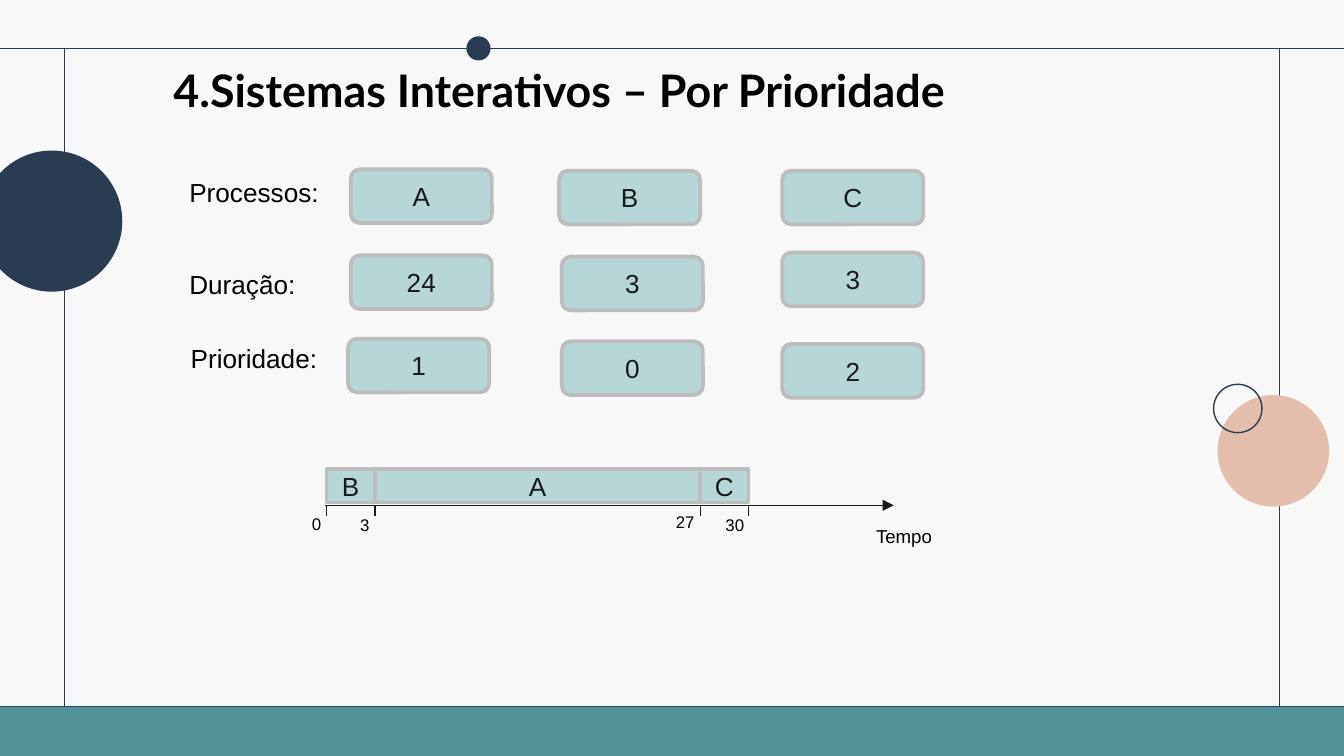
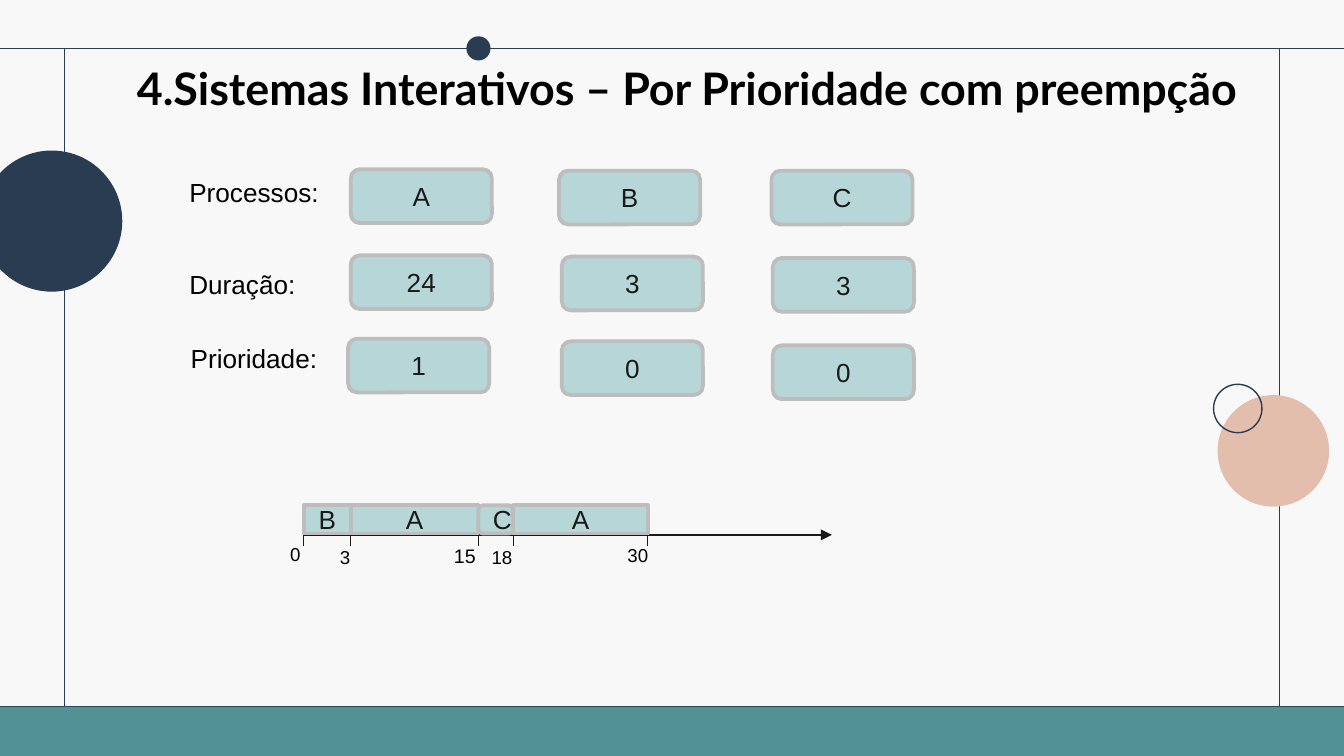
from dataclasses import dataclass
from itertools import pairwise

from lxml.etree import SubElement
from pptx import Presentation
from pptx.dml.color import RGBColor
from pptx.enum.shapes import MSO_CONNECTOR, MSO_SHAPE
from pptx.enum.text import MSO_ANCHOR, MSO_AUTO_SIZE, PP_ALIGN
from pptx.oxml.ns import qn
from pptx.util import Pt

PX = 9144  # 100 px to the inch


@dataclass(frozen=True)
class Theme:
    background: RGBColor = RGBColor.from_string("F8F8F8")
    navy: RGBColor = RGBColor.from_string("293C51")
    teal: RGBColor = RGBColor.from_string("539294")
    peach: RGBColor = RGBColor.from_string("E4BEAC")
    block: RGBColor = RGBColor.from_string("B7D6D7")
    border: RGBColor = RGBColor.from_string("BDBDBD")
    ink: RGBColor = RGBColor.from_string("191919")
    black: RGBColor = RGBColor.from_string("000000")
    title_font: str = "Lato"
    body_font: str = "Arial"
    title_size: float = 24
    body_size: float = 14
    axis_size: float = 10
    fifteen_size: float = 10.5
    tick_size: float = 9
    thin: float = 0.75
    thick: float = 2


theme = Theme()
RECTANGLE, ROUNDED = MSO_SHAPE.RECTANGLE, MSO_SHAPE.ROUNDED_RECTANGLE
TOP, MIDDLE = MSO_ANCHOR.TOP, MSO_ANCHOR.MIDDLE


def add_block(shapes, kind, box, fill=None, border=None, width=theme.thin, text=""):
    shape = shapes.add_shape(kind, *(value * PX for value in box))
    shape.shadow.inherit = False
    if fill is None:
        shape.fill.background()
    else:
        shape.fill.solid()
        shape.fill.fore_color.rgb = fill
    if border is None:
        shape.line.fill.background()
    else:
        shape.line.color.rgb = border
        shape.line.width = Pt(width)
    if text:
        frame = shape.text_frame
        frame.text = text
        frame.word_wrap = True
        frame.vertical_anchor = MIDDLE
        paragraph = frame.paragraphs[0]
        paragraph.alignment = PP_ALIGN.CENTER
        paragraph.font.name = theme.body_font
        paragraph.font.size = Pt(theme.body_size)
        paragraph.font.color.rgb = theme.ink


def add_line(shapes, ends, color, arrow=False):
    connector = shapes.add_connector(MSO_CONNECTOR.STRAIGHT, *(value * PX for value in ends))
    connector.line.color.rgb = color
    connector.line.width = Pt(theme.thin)
    properties = connector.element.spPr
    if arrow:
        SubElement(properties.find(qn("a:ln")), qn("a:tailEnd"), type="triangle")
    SubElement(properties, qn("a:effectLst"))


# Each label: text, (left, top, width, height), size, anchor, side inset
row_labels = [
    ("Processos:", (131, 126, 119, 34), theme.body_size, TOP, 10),
    ("Duração:", (131, 195, 119, 34), theme.body_size, TOP, 10),
    ("Prioridade:", (132, 250, 119, 34), theme.body_size, TOP, 10),
]
# Each cell: text, left, top
shared_cells = [
    ("A", 261, 126), ("B", 416, 127),
    ("24", 261, 190), ("3", 418, 191),
    ("1", 259, 252), ("0", 418, 254),
]
deck = [
    {
        "title": "4.Sistemas\u00a0Interativos – Por\u00a0Prioridade",
        "title_box": (109, 42, 614, 50),
        "cells": [("C", 582, 127), ("3", 582, 188), ("2", 582, 256)],
        "axis": (242, 376, 665, 376),
        "bar": (349, 25),
        "edges": [243, 279, 521, 557],
        "segments": [("B", RECTANGLE), ("A", RECTANGLE), ("C", RECTANGLE)],
        "labels": [
            ("Tempo", (642, 386, 63, 27), theme.axis_size, TOP, 10),
            ("0", (232, 377, 10, 25), theme.tick_size, MIDDLE, 0),
            ("3", (268, 378, 10, 25), theme.tick_size, MIDDLE, 0),
            ("27", (493, 376, 36, 25), theme.tick_size, MIDDLE, 10),
            ("30", (530, 378, 36, 25), theme.tick_size, MIDDLE, 10),
        ],
    },
    {
        "title": "4.Sistemas\u00a0Interativos – Por\u00a0Prioridade com preempção",
        "title_box": (90, 40, 842, 50),
        "cells": [("C", 574, 127), ("3", 575, 192), ("0", 575, 257)],
        "axis": (226, 398, 619, 398),
        "bar": (376, 21),
        "edges": [226, 261, 356, 382, 482],
        "segments": [("B", RECTANGLE), ("A", RECTANGLE), ("C", ROUNDED), ("A", RECTANGLE)],
        "labels": [
            ("0", (206, 399, 21, 27), theme.axis_size, TOP, 10),
            ("3", (243, 401, 27, 27), theme.axis_size, TOP, 10),
            ("15", (328, 400, 47, 28), theme.fifteen_size, TOP, 10),
            ("18", (356, 401, 67, 27), theme.axis_size, TOP, 10),
            ("30", (457, 400, 42, 27), theme.axis_size, TOP, 10),
        ],
    },
]

presentation = Presentation()
presentation.slide_width = 1000 * PX
presentation.slide_height = 1000 * PX * 9 // 16

# Title-only layout: background and a title placeholder
layout = presentation.slide_layouts[5]
layout.background.fill.solid()
layout.background.fill.fore_color.rgb = theme.background
layout_title, *footers = layout.placeholders
for placeholder in footers:
    placeholder.element.getparent().remove(placeholder.element)
slides = [presentation.slides.add_slide(layout) for _ in deck]

# Frame and circles, drawn once and moved into the layout
canvas = slides[0].shapes
for ends in [(-1, 36, 1001, 36), (48, 36, 48, 526), (952, 36, 952, 526)]:
    add_line(canvas, ends, theme.navy)
add_block(canvas, MSO_SHAPE.OVAL, (347, 27, 18, 18), theme.navy)
add_line(canvas, (-1, 526, 1001, 526), theme.navy)
add_block(canvas, RECTANGLE, (-1, 526, 1002, 37), theme.teal)
circles = canvas.add_group_shape()
add_block(circles.shapes, MSO_SHAPE.OVAL, (906, 294, 83, 83), theme.peach)
add_block(circles.shapes, MSO_SHAPE.OVAL, (903, 286, 36, 36), border=theme.navy)
add_block(canvas, MSO_SHAPE.OVAL, (-14, 112, 105, 105), theme.navy)
for shape in list(canvas):
    if not shape.is_placeholder:
        layout_title.element.addprevious(shape.element)

for slide, content in zip(slides, deck):
    shapes = slide.shapes
    title = shapes.title
    title.left, title.top, title.width, title.height = (
        value * PX for value in content["title_box"])
    frame = title.text_frame
    frame.text = content["title"]
    frame.word_wrap = True
    frame.auto_size = MSO_AUTO_SIZE.NONE
    frame.vertical_anchor = TOP
    paragraph = frame.paragraphs[0]
    paragraph.alignment = PP_ALIGN.CENTER
    paragraph.font.name = theme.title_font
    paragraph.font.size = Pt(theme.title_size)
    paragraph.font.bold = True
    paragraph.font.color.rgb = theme.black

    for text, left, top in shared_cells + content["cells"]:
        add_block(shapes, ROUNDED, (left, top, 105, 40),
                  theme.block, theme.border, theme.thick, text)

    # Timeline: axis, a tick at every edge, a block between neighbouring edges
    add_line(shapes, content["axis"], theme.ink, arrow=True)
    axis_top = content["axis"][1]
    for edge in content["edges"]:
        add_line(shapes, (edge, axis_top, edge, axis_top + 8), theme.ink)
    bar_top, bar_height = content["bar"]
    for (text, kind), (start, end) in zip(content["segments"], pairwise(content["edges"])):
        add_block(shapes, kind, (start, bar_top, end - start, bar_height),
                  theme.block, theme.border, theme.thick, text)

    for text, box, size, anchor, inset in row_labels + content["labels"]:
        label = shapes.add_textbox(*(value * PX for value in box))
        frame = label.text_frame
        frame.text = text
        frame.word_wrap = True
        frame.auto_size = MSO_AUTO_SIZE.SHAPE_TO_FIT_TEXT
        frame.vertical_anchor = anchor
        frame.margin_left = frame.margin_right = inset * PX
        paragraph = frame.paragraphs[0]
        paragraph.font.name = theme.body_font
        paragraph.font.size = Pt(size)
        paragraph.font.color.rgb = theme.black

presentation.save("out.pptx")
